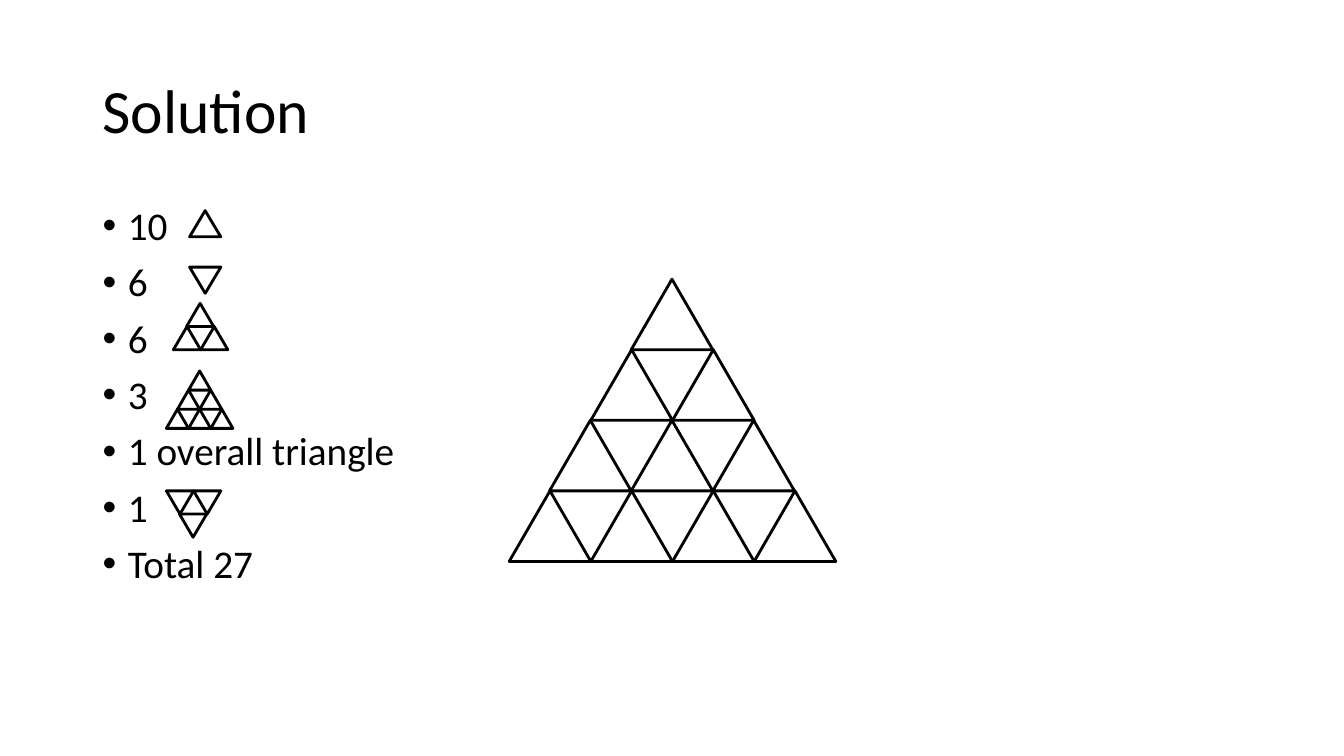
from pptx import Presentation
from pptx import util as u
from pptx.dml.color import RGBColor
from pptx.enum import shapes, text
from pptx.oxml.ns import qn
from lxml import etree

PX = 9144  # EMU per px, 100 px to the inch


def px(value):
    return u.Emu(value * PX)


def colour(hex_value):
    return RGBColor.from_string(hex_value)


class Sheet:
    font = "Calibri"
    ink = "000000"
    stroke = 2

    def __init__(self, page):
        self.page = page

    def text_box(self, left, top, width, height, lines, size, anchor, bulleted=False):
        box = self.page.shapes.add_textbox(px(left), px(top), px(width), px(height))
        frame = box.text_frame
        frame.text = "\n".join(lines)
        frame.word_wrap = True
        frame.vertical_anchor = anchor
        for index, para in enumerate(frame.paragraphs):
            if bulleted:
                self.bullet(para)
            para.line_spacing = 0.9
            para.space_before = u.Pt(10 if index else 0)
            for span in para.runs:
                span.font.name = self.font
                span.font.size = u.Pt(size)
                span.font.color.rgb = colour(self.ink)

    def bullet(self, para):
        props = para._p.get_or_add_pPr()
        props.set("marL", str(px(25)))
        props.set("indent", str(px(-25)))
        etree.SubElement(props, qn("a:buFont")).set("typeface", "Arial")
        etree.SubElement(props, qn("a:buChar")).set("char", "•")

    def triangle(self, parent, left, top, width, height, inverted=False):
        shape = parent.add_shape(shapes.MSO_SHAPE.ISOSCELES_TRIANGLE,
                                 px(left), px(top), px(width), px(height))
        shape.shadow.inherit = False
        shape.fill.background()
        shape.line.color.rgb = colour(self.ink)
        shape.line.width = u.Pt(self.stroke)
        shape.rotation = 180 if inverted else 0

    def stack(self, left, top, width, height, rows, inverted=False):
        """Rows of 1, 2, 3... triangles, or the reverse when inverted."""
        group = self.page.shapes.add_group_shape()
        for row in range(rows):
            count = rows - row if inverted else row + 1
            start = left + (rows - count) * width // 2
            for column in range(count):
                self.triangle(group.shapes, start + column * width,
                              top + row * height, width, height, inverted)


def main():
    deck = Presentation()
    deck.slide_width, deck.slide_height = px(1333), px(750)
    page = deck.slides.add_slide(deck.slide_layouts[6])
    sheet = Sheet(page)

    # Title and counts
    sheet.text_box(92, 40, 1150, 145, ["Solution"], 44, text.MSO_ANCHOR.MIDDLE)
    counts = ["10", "6", "6", "3", "1 overall triangle", "1", "Total 27"]
    sheet.text_box(92, 200, 1150, 476, counts, 28, text.MSO_ANCHOR.TOP, bulleted=True)

    # Overall triangle
    sheet.stack(505, 277, 81, 70, rows=4)

    # Small triangles beside the counts
    sheet.triangle(page.shapes, 188, 209, 31, 26)
    sheet.triangle(page.shapes, 188, 265, 31, 26, inverted=True)
    sheet.stack(172, 301, 27, 23, rows=2)
    sheet.stack(165, 368, 22, 19, rows=3)
    sheet.stack(165, 487, 27, 23, rows=2, inverted=True)

    deck.save("out.pptx")


if __name__ == "__main__":
    main()
